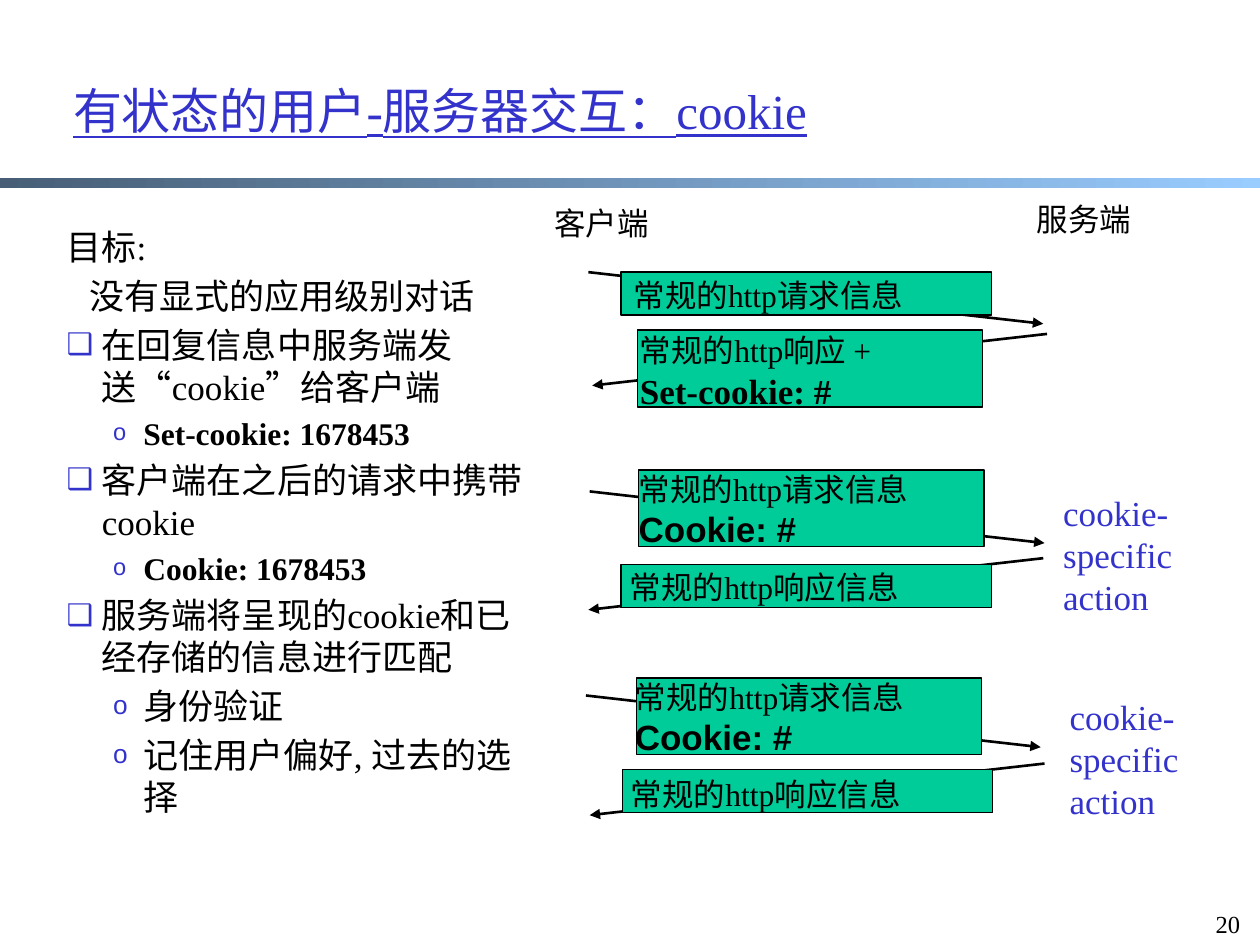
from lxml import etree
from pptx import Presentation
from pptx.dml.color import RGBColor
from pptx.enum.shapes import MSO_CONNECTOR, MSO_SHAPE
from pptx.enum.text import MSO_ANCHOR, MSO_AUTO_SIZE, PP_ALIGN
from pptx.oxml.ns import qn
from pptx.util import Inches, Pt

STRAIGHT = MSO_CONNECTOR.STRAIGHT
RECTANGLE = MSO_SHAPE.RECTANGLE
MIDDLE, BOTTOM = MSO_ANCHOR.MIDDLE, MSO_ANCHOR.BOTTOM
NO_AUTOFIT = MSO_AUTO_SIZE.NONE
LEFT = PP_ALIGN.LEFT

BLUE, BLACK, GREEN = "3333CC", "000000", "00CC99"
SERIF, SANS = "Times New Roman", "Arial"

TITLE = "有状态的用户-服务器交互：cookie"

LEVELS = {
    "heading": (0.28, -0.28, None, None),
    "goal": (0.18, 0, None, None),
    "point": (0.28, -0.28, "❑", 85),
    "detail": (0.61, -0.24, "o", 75),
}
GOALS = [
    ("heading", "目标:", 20, False),
    ("goal", "没有显式的应用级别对话", 20, False),
    ("point", "在回复信息中服务端发送“cookie”给客户端", 20, False),
    ("detail", "Set-cookie: 1678453", 18, True),
    ("point", "客户端在之后的请求中携带cookie", 20, False),
    ("detail", "Cookie: 1678453", 18, True),
    ("point", "服务端将呈现的cookie和已经存储的信息进行匹配", 20, False),
    ("detail", "身份验证", 20, False),
    ("detail", "记住用户偏好, 过去的选择", 20, False),
]

REQUEST = [("常规的", 18, SANS, False), ("http", 18, SERIF, False), ("请求信息", 18, SANS, False)]
RESPONSE = REQUEST[:2] + [("响应信息", 18, SANS, False)]
SET_COOKIE = [("Set-cookie: #", 20, SERIF, True)]
COOKIE = [("Cookie: #", 20, SANS, True)]

# arrow start, box corner, text corner, paragraphs
MESSAGES = [
    ((4.67, 2.16), (4.93, 2.16), (4.93, 2.14), [REQUEST]),
    ((8.31, 2.65), (5.06, 2.62), (4.98, 2.58), [[("常规的http响应 +", 18, SERIF, False)], SET_COOKIE]),
    ((4.68, 3.9), (5.07, 3.73), (4.97, 3.68), [REQUEST, COOKIE]),
    ((8.28, 4.43), (4.93, 4.48), (4.9, 4.46), [RESPONSE]),
    ((4.65, 5.52), (5.05, 5.38), (4.94, 5.33), [REQUEST, COOKIE]),
    ((8.29, 6.06), (4.94, 6.11), (4.91, 6.1), [RESPONSE]),
]
ARROW_RUN, ARROW_DROP = 3.61, 0.41
BOX_SIZES = {1: (2.94, 0.34), 2: (2.74, 0.61)}
TEXT_HEIGHTS = {1: 0.4, 2: 0.74}
MIDDLE_X = 6.5

ENDPOINTS = [("客户端", 4.3, 1.57), ("服务端", 8.13, 1.54)]
ACTION = [[(word, 20, SERIF, False)] for word in ("cookie-", "specific", "action")]
ACTION_CORNERS = [(8.34, 3.85), (8.39, 5.47)]


def color(value):
    return RGBColor.from_string(value)


def format_font(font, size, name, bold=False, shade=BLACK):
    font.size, font.name, font.bold = Pt(size), name, bold
    font.color.rgb = color(shade)


def add_text(slide, left, top, width, height, paragraphs, shade=BLACK, wrap=True):
    box = slide.shapes.add_textbox(Inches(left), Inches(top), Inches(width), Inches(height))
    frame = box.text_frame
    frame.word_wrap = wrap
    for index, pieces in enumerate(paragraphs):
        paragraph = frame.add_paragraph() if index else frame.paragraphs[0]
        for text, size, name, bold in pieces:
            run = paragraph.add_run()
            run.text = text
            format_font(run.font, size, name, bold, shade)
    return frame


def add_bullet(paragraph, character, percent):
    properties = paragraph._p.get_or_add_pPr()
    bullet_color = etree.SubElement(properties, qn("a:buClr"))
    etree.SubElement(bullet_color, qn("a:srgbClr"), val=BLUE)
    etree.SubElement(properties, qn("a:buSzPct"), val=str(percent * 1000))
    etree.SubElement(properties, qn("a:buFont"), typeface=SANS)
    etree.SubElement(properties, qn("a:buChar"), char=character)


def add_goals(slide):
    paragraphs = [[(text, size, SERIF, bold)] for _, text, size, bold in GOALS]
    frame = add_text(slide, 0.43, 1.74, 3.94, 5.09, paragraphs)
    for paragraph, (level, _, size, _) in zip(frame.paragraphs, GOALS):
        margin, indent, character, percent = LEVELS[level]
        properties = paragraph._p.get_or_add_pPr()
        properties.set("marL", str(Inches(margin)))
        properties.set("indent", str(Inches(indent)))
        if character:
            add_bullet(paragraph, character, percent)
        if level != "heading":
            paragraph.space_before = Pt(size * 0.2)


def add_arrow(slide, left, top):
    run = ARROW_RUN if left < MIDDLE_X else -ARROW_RUN
    arrow = slide.shapes.add_connector(
        STRAIGHT, Inches(left), Inches(top), Inches(left + run), Inches(top + ARROW_DROP))
    arrow.line.color.rgb = color(BLACK)
    arrow.line.width = Pt(1.5)
    etree.SubElement(arrow.line._get_or_add_ln(), qn("a:tailEnd"), type="triangle")
    etree.SubElement(arrow._element.spPr, qn("a:effectLst"))


def add_rectangle(slide, left, top, width, height):
    rectangle = slide.shapes.add_shape(
        RECTANGLE, Inches(left), Inches(top), Inches(width), Inches(height))
    rectangle.shadow.inherit = False
    return rectangle


def add_message(slide, start, corner, text_corner, paragraphs):
    add_arrow(slide, *start)
    count = len(paragraphs)
    box = add_rectangle(slide, *corner, *BOX_SIZES[count])
    box.fill.solid()
    box.fill.fore_color.rgb = color(GREEN)
    box.line.color.rgb = color(BLACK)
    box.line.width = Pt(0.75)
    add_text(slide, *text_corner, 2.93, TEXT_HEIGHTS[count], paragraphs)


def add_header(slide):
    bar = add_rectangle(slide, 0, 1.41, 10, 0.08)
    bar.fill.gradient()
    bar.fill.gradient_angle = 0
    for stop, shade in zip(bar.fill.gradient_stops, ("475E76", "99CCFF")):
        stop.color.rgb = color(shade)
    bar.line.fill.background()

    title = slide.shapes.title
    title.left, title.top = Inches(0.48), Inches(0.25)
    title.width, title.height = Inches(8.5), Inches(1.25)
    frame = title.text_frame
    frame.text = TITLE
    frame.auto_size = NO_AUTOFIT
    frame.vertical_anchor = MIDDLE
    paragraph = frame.paragraphs[0]
    paragraph.alignment = LEFT
    font = paragraph.runs[0].font
    format_font(font, 28, SERIF, shade=BLUE)
    font.underline = True


def main():
    presentation = Presentation()
    presentation.slide_width, presentation.slide_height = Inches(10), Inches(7.5)
    slide = presentation.slides.add_slide(presentation.slide_layouts[5])
    add_header(slide)
    add_goals(slide)
    for text, left, top in ENDPOINTS:
        add_text(slide, left, top, 0.96, 0.4, [[(text, 18, SANS, False)]], wrap=False)
    for message in MESSAGES:
        add_message(slide, *message)
    for left, top in ACTION_CORNERS:
        add_text(slide, left, top, 1.07, 1.11, ACTION, BLUE, wrap=False)
    number = add_text(slide, 9.55, 7, 0.45, 0.5, [[("20", 14, SERIF, False)]])
    number.vertical_anchor = BOTTOM
    presentation.save("out.pptx")


if __name__ == "__main__":
    main()
